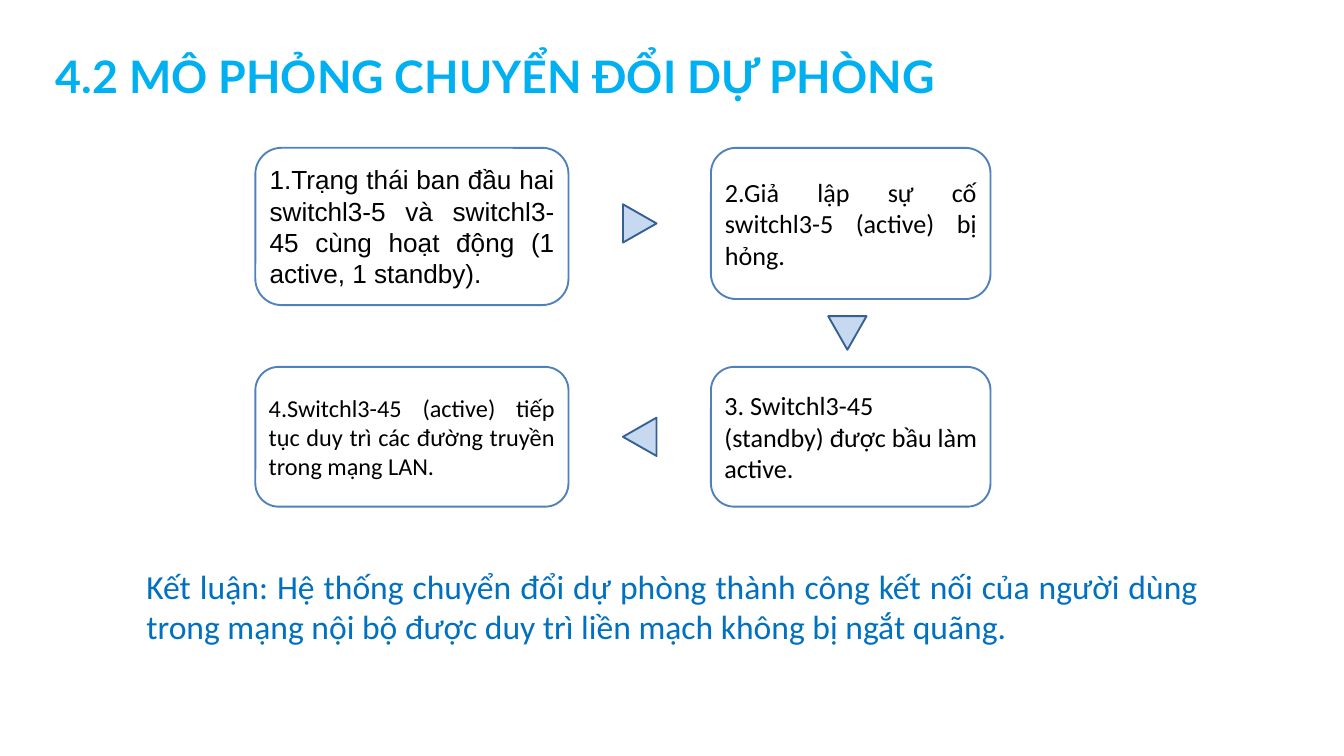
from pptx import Presentation
from pptx.dml.color import RGBColor
from pptx.enum.shapes import MSO_SHAPE
from pptx.enum.text import MSO_ANCHOR, PP_ALIGN
from pptx.util import Inches, Pt

THEME = {
    "title": {"name": "Lato", "size": Pt(48), "bold": True, "color": "00B0F0"},
    "first_step": {"name": "Arial", "size": Pt(28), "color": "000000"},
    "step": {"name": "Calibri", "size": Pt(28), "color": "000000"},
    "last_step": {"name": "Calibri", "size": Pt(26), "color": "000000"},
    "conclusion": {"name": "Calibri", "size": Pt(36), "color": "0070C0"},
    "box_line": "4F81BD",
    "arrow_fill": "C6D9F1",
    "arrow_line": "376092",
    "paper": "FFFFFF",
}


def write(shape, text, style, align, anchor):
    """Put one formatted paragraph into a shape."""
    frame = shape.text_frame
    frame.word_wrap = True
    frame.vertical_anchor = anchor
    para = frame.paragraphs[0]
    para.alignment = align
    span = para.add_run()
    span.text = text
    for key, value in THEME[style].items():
        if key == "color":
            span.font.color.rgb = RGBColor.from_string(value)
        else:
            setattr(span.font, key, value)
    return para


def add_shape(kind, left, top, width, height, fill=None, line=None):
    """Add a flat preset shape, measured in inches."""
    shape = page.shapes.add_shape(
        kind, Inches(left), Inches(top), Inches(width), Inches(height))
    shape.shadow.inherit = False
    if fill:
        shape.fill.solid()
        shape.fill.fore_color.rgb = RGBColor.from_string(THEME[fill])
    else:
        shape.fill.background()
    if line:
        shape.line.color.rgb = RGBColor.from_string(THEME[line])
        shape.line.width = Pt(2)
    else:
        shape.line.fill.background()
    return shape


deck = Presentation()
deck.slide_width, deck.slide_height = Inches(20), Inches(11.25)
page = deck.slides.add_slide(deck.slide_layouts[5])

# Title
title = page.shapes.title
for side, value in {"left": 0.83, "top": 0.24, "width": 14.26, "height": 1.3}.items():
    setattr(title, side, Inches(value))
for side in ("left", "top", "right", "bottom"):
    setattr(title.text_frame, f"margin_{side}", 0)
heading = write(title, "4.2 MÔ PHỎNG CHUYỂN ĐỔI DỰ PHÒNG", "title",
                PP_ALIGN.LEFT, MSO_ANCHOR.TOP)
heading.line_spacing = Pt(92.4)

# Four steps, clockwise on a grid of two columns and two rows
LEFT, RIGHT = 3.8, 10.58
UPPER, LOWER = 2.2, 5.46
LEFT_WIDTH, RIGHT_WIDTH = 4.66, 4.16
UPPER_HEIGHT, LOWER_HEIGHT = 2.25, 2.08
steps = [
    (LEFT, UPPER, LEFT_WIDTH, 2.34, "first_step", PP_ALIGN.JUSTIFY,
     "1.Trạng thái ban đầu hai switchl3-5 và switchl3-45 cùng hoạt động "
     "(1 active, 1 standby)."),
    (RIGHT, UPPER, RIGHT_WIDTH, UPPER_HEIGHT, "step", PP_ALIGN.JUSTIFY,
     "2.Giả lập sự cố switchl3-5 (active) bị hỏng."),
    (RIGHT, LOWER, RIGHT_WIDTH, LOWER_HEIGHT, "step", PP_ALIGN.LEFT,
     "3. Switchl3-45 (standby) được bầu làm active."),
    (LEFT, LOWER, LEFT_WIDTH, LOWER_HEIGHT, "last_step", PP_ALIGN.JUSTIFY,
     "4.Switchl3-45 (active) tiếp tục duy trì các đường truyền trong mạng LAN."),
]
for left, top, width, height, style, align, text in steps:
    box = add_shape(MSO_SHAPE.ROUNDED_RECTANGLE, left, top, width, height,
                    line="box_line")
    write(box, text, style, align, MSO_ANCHOR.MIDDLE)

# Triangles centred in the gaps, pointing to the next step
ARROW_WIDTH, ARROW_HEIGHT = 0.57, 0.5
column_gap = (LEFT + LEFT_WIDTH + RIGHT) / 2
row_gap = (UPPER + UPPER_HEIGHT + LOWER) / 2
arrows = [
    (column_gap, UPPER + UPPER_HEIGHT / 2, 90),
    (RIGHT + RIGHT_WIDTH / 2 - 0.05, row_gap, 180),
    (column_gap, LOWER + LOWER_HEIGHT / 2, 270),
]
for center_x, center_y, rotation in arrows:
    arrow = add_shape(MSO_SHAPE.ISOSCELES_TRIANGLE, center_x - ARROW_WIDTH / 2,
                      center_y - ARROW_HEIGHT / 2, ARROW_WIDTH, ARROW_HEIGHT,
                      "arrow_fill", "arrow_line")
    arrow.rotation = rotation

# Conclusion
conclusion = add_shape(MSO_SHAPE.RECTANGLE, 2.08, 8.37, 15.85, 1.31, "paper")
write(conclusion,
      "Kết luận: Hệ thống chuyển đổi dự phòng thành công kết nối của người dùng "
      "trong mạng nội bộ được duy trì liền mạch không bị ngắt quãng.",
      "conclusion", PP_ALIGN.JUSTIFY, MSO_ANCHOR.TOP)

deck.save("out.pptx")
